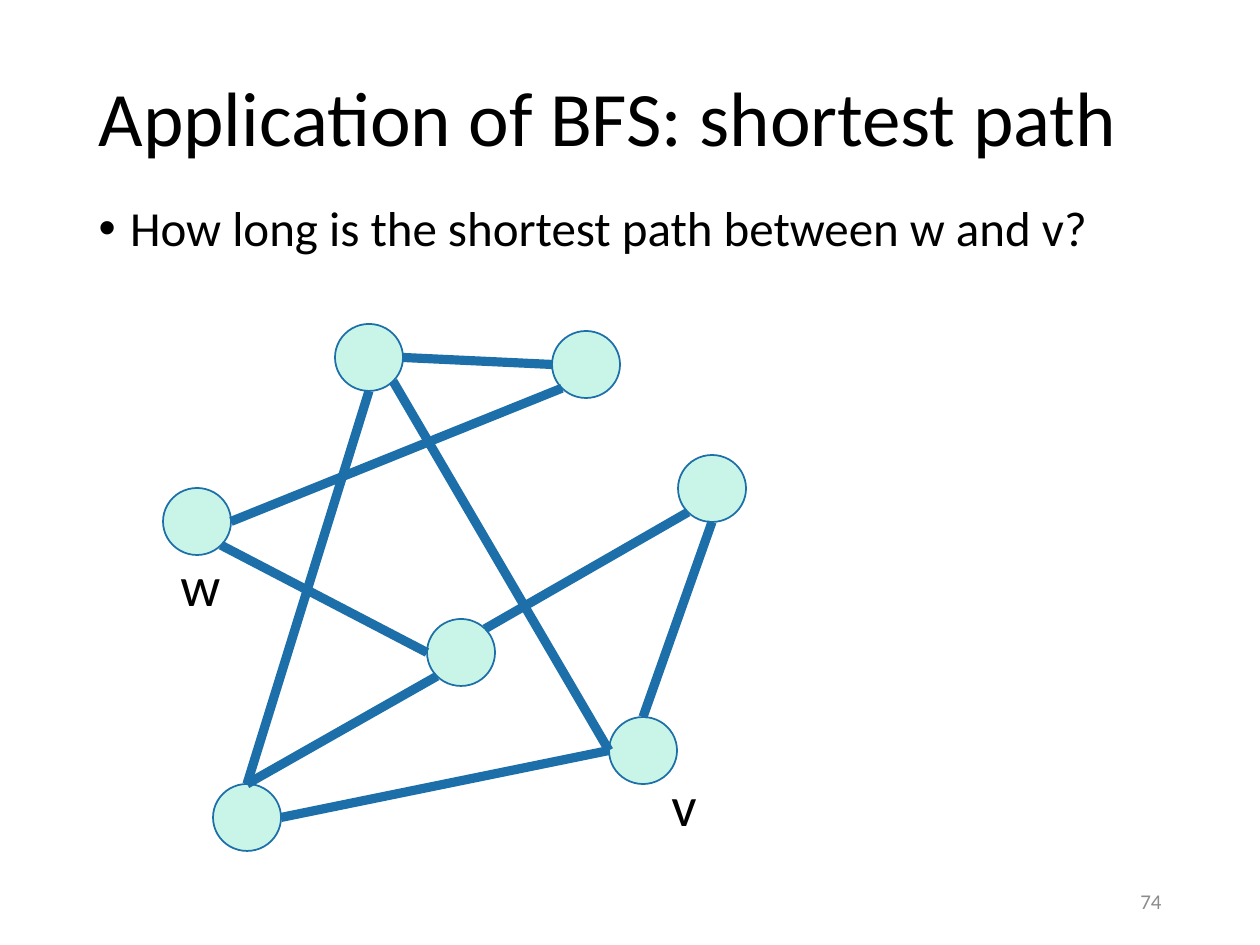
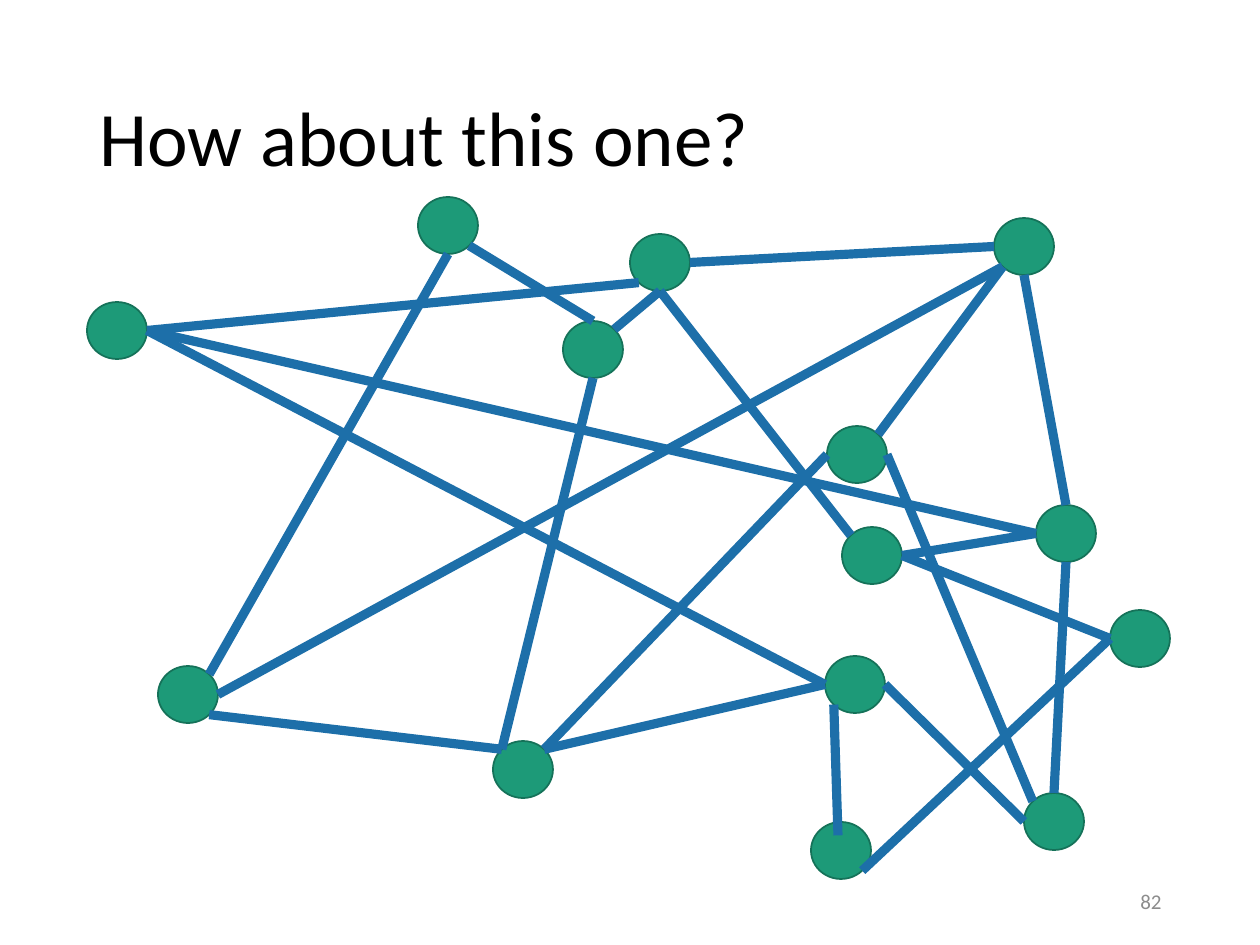
import math

import lxml.etree
import pptx
import pptx.dml.color
import pptx.enum.shapes
import pptx.enum.text
import pptx.oxml.ns
import pptx.util

# Shared style
PX = 914400 / 126
SLIDE_SIZE = (1260, 945)
FONT = "Calibri"
COLOURS = {
    "text": "000000",
    "number": "8C8C8C",
    "edge": "1D6FA9",
    "mint": "C8F5E8",
    "green": "1D9A78",
    "green line": "157259",
}
NUMBER_BOX = (890, 876, 284, 50)
DIAGONAL = math.sqrt(0.5)
SIDES = {
    "N": (0, -1), "S": (0, 1), "W": (-1, 0), "E": (1, 0),
    "NW": (-DIAGONAL, -DIAGONAL), "NE": (DIAGONAL, -DIAGONAL),
    "SW": (-DIAGONAL, DIAGONAL), "SE": (DIAGONAL, DIAGONAL),
}

# Content: nodes by left and top; edges as (node, side, node, side)
SLIDES = [
    {
        "title": "Application of BFS: shortest path",
        "title box": (86, 30, 1086, 183),
        "bullets": ["How long is the shortest path between w and v?"],
        "bullets box": (86, 198, 1040, 600),
        "number": "74",
        "node size": (68, 67),
        "node colours": ("mint", "edge"),
        "nodes": {
            "w": (163, 488), "top": (335, 324), "hub": (427, 619),
            "bottom": (213, 784), "upper": (552, 331),
            "v": (609, 717), "right": (678, 455),
        },
        "edges": [
            ("bottom", "N", "hub", "SW"), ("bottom", "N", "top", "S"),
            ("hub", "W", "w", "SE"), ("v", "W", "top", "SE"),
            ("v", "N", "right", "S"), ("hub", "NE", "right", "SW"),
            ("v", "W", "bottom", "E"), ("upper", "SW", "w", "E"),
            ("upper", "W", "top", "E"),
        ],
        "labels": {"w": (168, 544, 108, 68), "v": (659, 764, 108, 68)},
    },
    {
        "title": "How about this one?",
        "title box": (87, 50, 1086, 183),
        "number": "82",
        "node size": (60, 57),
        "node colours": ("green", "green line"),
        "nodes": {
            "a": (811, 822), "b": (418, 197), "c": (87, 302),
            "d": (1024, 793), "e": (842, 527), "f": (630, 234),
            "g": (563, 321), "h": (827, 426), "i": (1036, 505),
            "j": (158, 666), "k": (825, 656), "l": (1110, 610),
            "m": (994, 218), "n": (493, 741),
        },
        "edges": [
            ("i", "W", "c", "E"), ("k", "W", "c", "E"), ("i", "W", "e", "E"),
            ("l", "W", "e", "E"), ("l", "W", "a", "SE"), ("h", "W", "n", "NE"),
            ("j", "E", "m", "SW"), ("d", "N", "i", "S"), ("d", "W", "k", "E"),
            ("f", "E", "m", "W"), ("k", "W", "n", "NE"), ("k", "SW", "a", "inner"),
            ("i", "N", "m", "S"), ("f", "S", "e", "NW"), ("b", "SE", "g", "N"),
            ("c", "E", "f", "SW"), ("b", "S", "j", "NE"), ("h", "NE", "m", "SW"),
            ("n", "NW", "g", "S"), ("d", "NW", "h", "E"), ("n", "NW", "j", "SE"),
            ("f", "S", "g", "NE"),
        ],
    },
]
SIDES["inner"] = (-0.1, -0.53)  # an end that stops inside its node


def emu(*lengths):
    return [round(length * PX) for length in lengths]


def colour(name):
    return pptx.dml.color.RGBColor.from_string(COLOURS[name])


def style(paragraph, size, colour_name="text"):
    paragraph.font.name = FONT
    paragraph.font.size = pptx.util.Pt(size)
    paragraph.font.color.rgb = colour(colour_name)


def place(shape, box):
    shape.left, shape.top, shape.width, shape.height = emu(*box)


def add_title(page, text, box):
    title = page.shapes.title
    place(title, box)
    frame = title.text_frame
    frame.text = text
    frame.auto_size = pptx.enum.text.MSO_AUTO_SIZE.NONE
    frame.vertical_anchor = pptx.enum.text.MSO_ANCHOR.MIDDLE
    paragraph = frame.paragraphs[0]
    paragraph.alignment = pptx.enum.text.PP_ALIGN.LEFT
    paragraph.line_spacing = 0.9
    style(paragraph, 44)


def add_bullets(page, lines, box):
    body = page.placeholders[1]
    place(body, box)
    frame = body.text_frame
    frame.text = "\n".join(lines)
    frame.auto_size = pptx.enum.text.MSO_AUTO_SIZE.NONE
    for index, paragraph in enumerate(frame.paragraphs):
        paragraph.line_spacing = 0.9
        paragraph.space_before = pptx.util.Pt(10 if index else 0)
        properties = paragraph._p.get_or_add_pPr()
        indent = pptx.util.Inches(0.25)
        properties.set("marL", str(indent))
        properties.set("indent", str(-indent))
        bullet = lxml.etree.SubElement(properties, pptx.oxml.ns.qn("a:buChar"))
        bullet.set("char", "•")
        style(paragraph, 28)


def add_text(page, text, box, size, colour_name="text"):
    frame = page.shapes.add_textbox(*emu(*box)).text_frame
    frame.word_wrap = True
    frame.text = text
    style(frame.paragraphs[0], size, colour_name)
    return frame


def add_number(page, text):
    frame = add_text(page, text, NUMBER_BOX, 12, "number")
    frame.vertical_anchor = pptx.enum.text.MSO_ANCHOR.MIDDLE
    frame.paragraphs[0].alignment = pptx.enum.text.PP_ALIGN.RIGHT


def add_node(page, corner, size, fill, line):
    node = page.shapes.add_shape(
        pptx.enum.shapes.MSO_SHAPE.OVAL, *emu(*corner, *size))
    node.shadow.inherit = False
    node.fill.solid()
    node.fill.fore_color.rgb = colour(fill)
    node.line.color.rgb = colour(line)
    node.line.width = pptx.util.Pt(1)


def node_point(corner, size, side):
    return [start + length / 2 * (1 + step)
            for start, length, step in zip(corner, size, SIDES[side])]


def add_edge(page, start, end):
    edge = page.shapes.add_connector(
        pptx.enum.shapes.MSO_CONNECTOR.STRAIGHT, *emu(*start, *end))
    edge.line.color.rgb = colour("edge")
    edge.line.width = pptx.util.Pt(5.25)
    lxml.etree.SubElement(edge._element.spPr, pptx.oxml.ns.qn("a:effectLst"))


def add_graph(page, content):
    nodes, size = content["nodes"], content["node size"]
    for corner in nodes.values():
        add_node(page, corner, size, *content["node colours"])
    for first, first_side, second, second_side in content["edges"]:
        add_edge(page, node_point(nodes[first], size, first_side),
                 node_point(nodes[second], size, second_side))
    for text, box in content.get("labels", {}).items():
        add_text(page, text, box, 32)


def main():
    deck = pptx.Presentation()
    deck.slide_width, deck.slide_height = emu(*SLIDE_SIZE)
    for content in SLIDES:
        # Layout 1 is Title and Content, layout 5 is Title Only
        layout = deck.slide_layouts[1 if "bullets" in content else 5]
        page = deck.slides.add_slide(layout)
        add_title(page, content["title"], content["title box"])
        if "bullets" in content:
            add_bullets(page, content["bullets"], content["bullets box"])
        add_graph(page, content)
        add_number(page, content["number"])
    deck.save("out.pptx")


if __name__ == "__main__":
    main()
